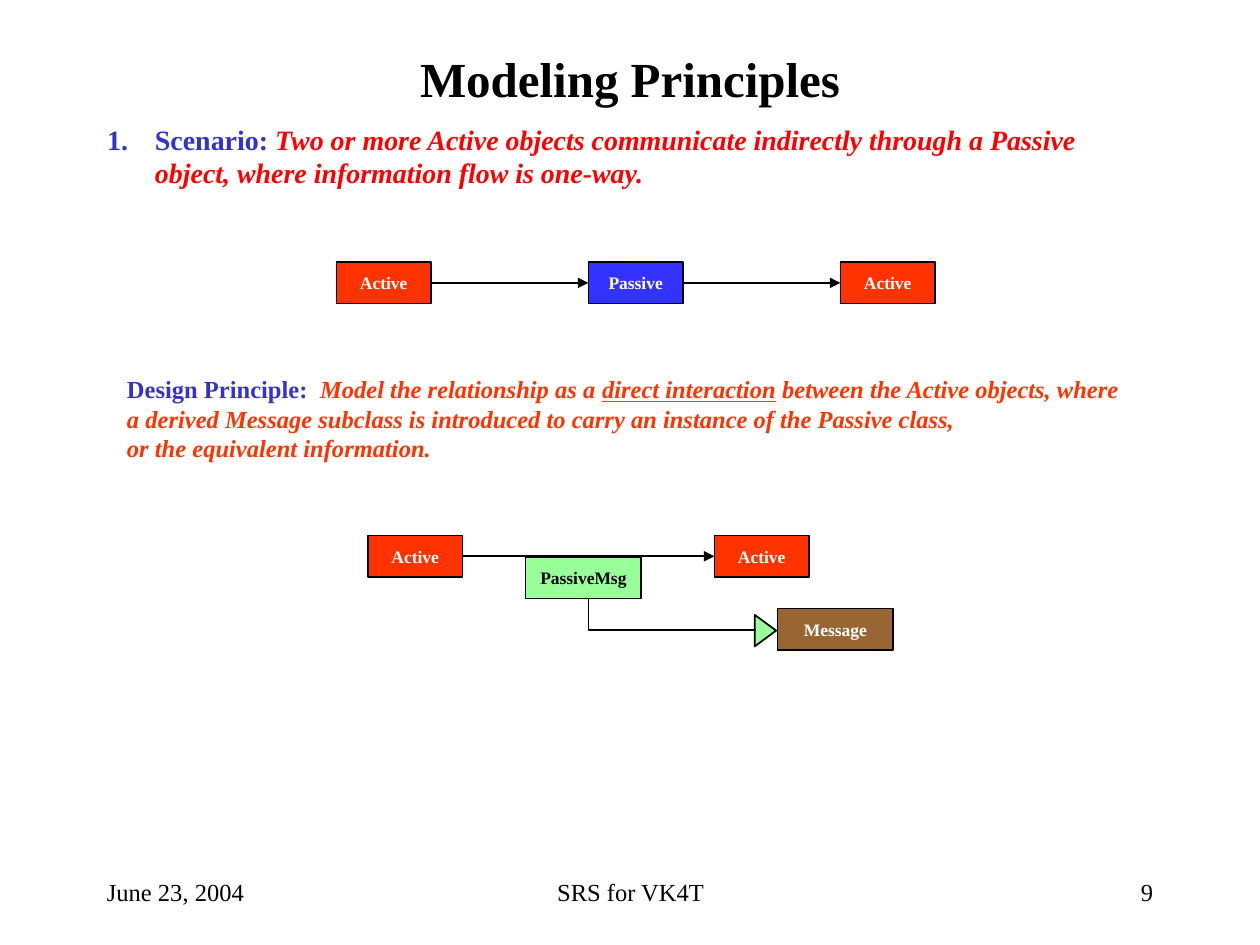
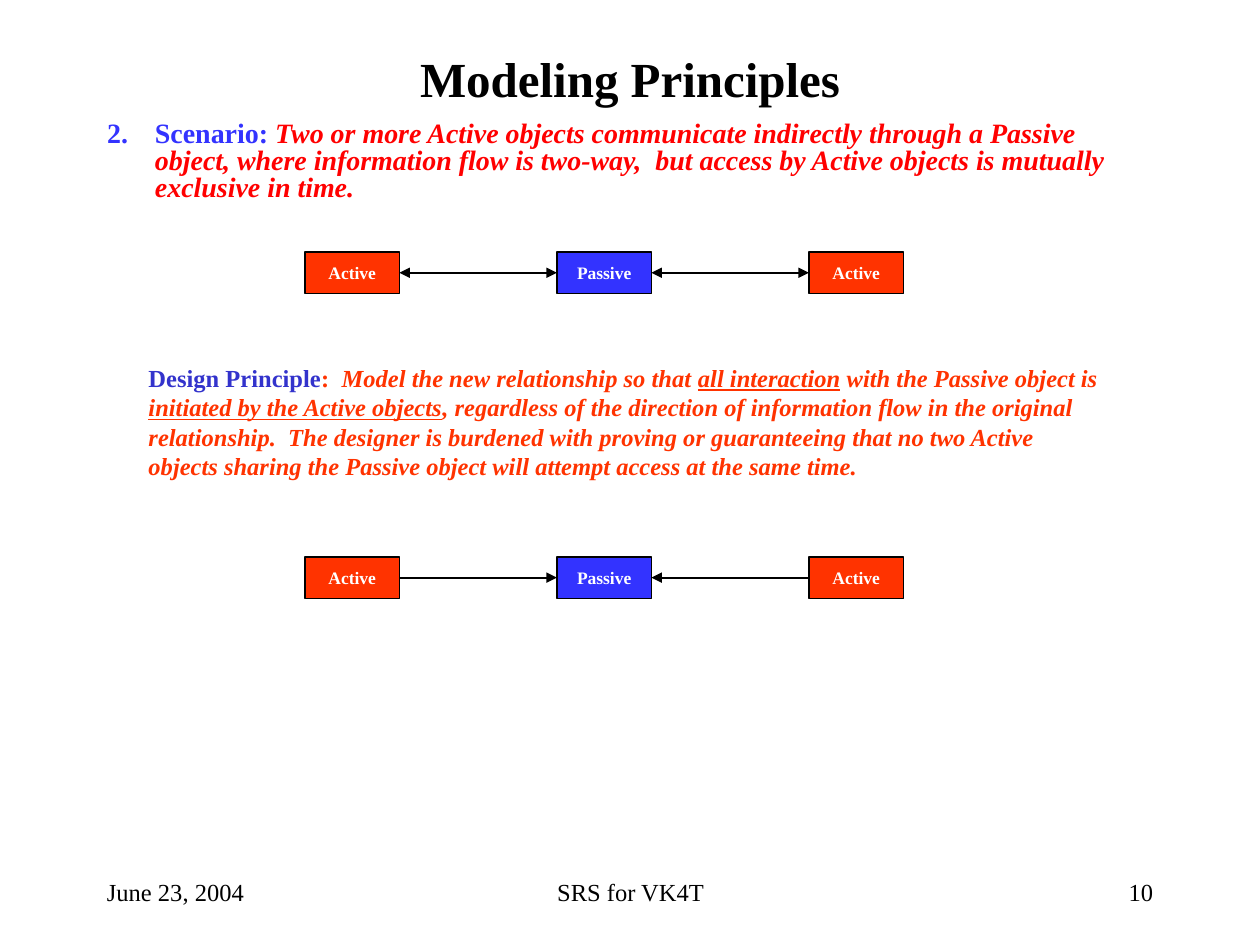
from dataclasses import dataclass
from typing import NamedTuple

from lxml import etree
from pptx import Presentation
from pptx.dml.color import RGBColor
from pptx.enum.shapes import MSO_CONNECTOR, MSO_SHAPE
from pptx.enum.text import MSO_ANCHOR, MSO_AUTO_SIZE, PP_ALIGN
from pptx.oxml.ns import qn
from pptx.shapes.autoshape import Shape
from pptx.slide import Slide
from pptx.text.text import TextFrame, _Paragraph
from pptx.util import Inches, Pt

LEFT, CENTER, RIGHT = PP_ALIGN.LEFT, PP_ALIGN.CENTER, PP_ALIGN.RIGHT
TOP, MIDDLE = MSO_ANCHOR.TOP, MSO_ANCHOR.MIDDLE
RECTANGLE, TRIANGLE = MSO_SHAPE.RECTANGLE, MSO_SHAPE.ISOSCELES_TRIANGLE
STRAIGHT = MSO_CONNECTOR.STRAIGHT
NO_FIT, FIT_SHAPE = MSO_AUTO_SIZE.NONE, MSO_AUTO_SIZE.SHAPE_TO_FIT_TEXT
LEFT_SIDE, RIGHT_SIDE = 1, 3


@dataclass(frozen=True)
class Theme:
    font: str = "Times New Roman"
    title_size: int = 28
    scenario_size: int = 16
    principle_size: int = 14
    footer_size: int = 14
    label_size: int = 10
    line_width: int = 1
    black: str = "000000"
    white: str = "FFFFFF"
    heading: str = "3333CC"
    scenario: str = "FF0000"
    active: str = "FF3300"
    passive: str = "3333FF"
    derived: str = "99FF99"
    message: str = "996633"


THEME = Theme()


class Area(NamedTuple):
    left: float
    top: float
    width: float
    height: float


class Piece(NamedTuple):
    """A stretch of text in one style."""
    text: str
    color: str
    bold: bool = True
    italic: bool = False
    underline: bool = False


class Box(NamedTuple):
    label: str
    fill: str
    text_color: str = THEME.white
    width: float = 0.75


class Arrow(NamedTuple):
    at_start: bool = False
    at_end: bool = True


class Chain(NamedTuple):
    """Active - Passive - Active, joined by two arrows."""
    left: float
    top: float
    arrows: tuple[Arrow, Arrow]


class Footer(NamedTuple):
    text: str
    left: float
    width: float
    alignment: PP_ALIGN


@dataclass(frozen=True)
class PrincipleSlide:
    scenario_number: int
    page: int
    heading_color: str
    scenario: str
    line_spacing: float
    principle_area: Area
    principle: tuple[Piece, ...]
    chains: tuple[Chain, ...]


BOX_HEIGHT = 0.33
CHAIN_PITCH = 2.0
ACTIVE = Box("Active", THEME.active)
PASSIVE = Box("Passive", THEME.passive)
PASSIVE_MESSAGE = Box("PassiveMsg", THEME.derived, THEME.black, 0.92)
MESSAGE = Box("Message", THEME.message, width=0.92)
FORWARD, BACKWARD, BOTH = Arrow(), Arrow(True, False), Arrow(True, True)
TITLE_AREA = Area(0.75, 0.33, 8.5, 0.58)
SCENARIO_AREA = Area(0.75, 0.92, 8.5, 0.75)


def principle_piece(text: str, underline: bool = False) -> Piece:
    return Piece(text, THEME.active, italic=True, underline=underline)


ONE_WAY = PrincipleSlide(
    scenario_number=1,
    page=9,
    heading_color=THEME.heading,
    scenario="Two or more Active objects communicate indirectly through a Passive object, "
             "where information flow is one-way.",
    line_spacing=1.0,
    principle_area=Area(0.91, 2.92, 8.13, 0.8),
    principle=(
        Piece("Design Principle:  ", THEME.heading),
        principle_piece("Model the relationship as a "),
        principle_piece("direct interaction", underline=True),
        principle_piece(" between the Active objects, where\n"
                        "a derived Message subclass is introduced to carry an instance "
                        "of the Passive class,\nor the equivalent information."),
    ),
    chains=(Chain(2.67, 2.08, (FORWARD, FORWARD)),),
)
TWO_WAY = PrincipleSlide(
    scenario_number=2,
    page=10,
    heading_color=THEME.passive,
    scenario="Two or more Active objects communicate indirectly through a Passive object, "
             "where information flow is two-way,  but access by Active objects is "
             "mutually exclusive in time.",
    line_spacing=0.8,
    principle_area=Area(1.08, 2.83, 7.78, 1.04),
    principle=(
        Piece("Design Principle", THEME.heading),
        Piece(":  ", THEME.active),
        principle_piece("Model the new relationship so that "),
        principle_piece("all interaction", underline=True),
        principle_piece(" with the Passive object is\n"),
        principle_piece("initiated by the Active objects", underline=True),
        principle_piece(", regardless of the direction of information flow in the original\n"
                        "relationship.  The designer is burdened with proving or "
                        "guaranteeing that no two Active\nobjects sharing the Passive "
                        "object will attempt access at the same time."),
    ),
    chains=(Chain(2.42, 2.0, (BOTH, BOTH)), Chain(2.42, 4.42, (FORWARD, BACKWARD))),
)


def place(shape: Shape, area: Area) -> None:
    shape.left, shape.top, shape.width, shape.height = map(Inches, area)


def write(frame: TextFrame, pieces: tuple[Piece, ...], size: int,
          alignment: PP_ALIGN = LEFT, anchor: MSO_ANCHOR = TOP, wrap: bool = True) -> _Paragraph:
    """Fill the first paragraph; a newline within a piece is a line break."""
    frame.word_wrap = wrap
    frame.auto_size = NO_FIT
    frame.vertical_anchor = anchor
    paragraph = frame.paragraphs[0]
    paragraph.alignment = alignment
    paragraph.space_before = Pt(0)
    for piece in pieces:
        for index, line in enumerate(piece.text.split("\n")):
            if index:
                paragraph.add_line_break()
                etree.SubElement(paragraph._p[-1], qn("a:rPr"), sz=str(size * 100))
            if not line:
                continue
            run = paragraph.add_run()
            run.text = line
            run.font.name = THEME.font
            run.font.size = Pt(size)
            run.font.bold = piece.bold
            run.font.italic = piece.italic
            run.font.underline = piece.underline
            run.font.color.rgb = RGBColor.from_string(piece.color)
    return paragraph


def number_paragraph(paragraph: _Paragraph, number: int, color: str) -> None:
    properties = paragraph._p.get_or_add_pPr()
    properties.set("marL", str(Inches(0.38)))
    properties.set("indent", str(Inches(-0.38)))
    bullet_color = etree.SubElement(properties, qn("a:buClr"))
    etree.SubElement(bullet_color, qn("a:srgbClr"), val=color)
    etree.SubElement(properties, qn("a:buFont"), typeface=THEME.font)
    etree.SubElement(properties, qn("a:buAutoNum"), type="arabicPeriod", startAt=str(number))


def add_text(slide: Slide, area: Area) -> Shape:
    return slide.shapes.add_textbox(*map(Inches, area))


def outline(shape: Shape) -> None:
    shape.shadow.inherit = False
    shape.line.color.rgb = RGBColor.from_string(THEME.black)
    shape.line.width = Pt(THEME.line_width)


def add_filled(slide: Slide, kind: MSO_SHAPE, area: Area, color: str) -> Shape:
    shape = slide.shapes.add_shape(kind, *map(Inches, area))
    outline(shape)
    shape.fill.solid()
    shape.fill.fore_color.rgb = RGBColor.from_string(color)
    return shape


def add_box(slide: Slide, box: Box, left: float, top: float) -> Shape:
    shape = add_filled(slide, RECTANGLE, Area(left, top, box.width, BOX_HEIGHT), box.fill)
    write(shape.text_frame, (Piece(box.label, box.text_color),), THEME.label_size,
          CENTER, MIDDLE, wrap=False)
    return shape


def join(slide: Slide, first: Shape, second: Shape, arrow: Arrow) -> None:
    """Draw an arrow from the right side of one box to the left side of the next."""
    connector = slide.shapes.add_connector(STRAIGHT, 0, 0, 0, 0)
    connector.begin_connect(first, RIGHT_SIDE)
    connector.end_connect(second, LEFT_SIDE)
    connector.line.color.rgb = RGBColor.from_string(THEME.black)
    connector.line.width = Pt(THEME.line_width)
    line = connector.line._get_or_add_ln()
    for tag, shown in (("a:headEnd", arrow.at_start), ("a:tailEnd", arrow.at_end)):
        if shown:
            etree.SubElement(line, qn(tag), type="triangle")
    etree.SubElement(connector._element.spPr, qn("a:effectLst"))


def add_chain(slide: Slide, chain: Chain) -> None:
    shapes = [add_box(slide, box, chain.left + index * CHAIN_PITCH, chain.top)
              for index, box in enumerate((ACTIVE, PASSIVE, ACTIVE))]
    for first, second, arrow in zip(shapes, shapes[1:], chain.arrows):
        join(slide, first, second, arrow)


def add_message_diagram(slide: Slide) -> None:
    """Two Active objects exchanging a PassiveMsg, which is derived from Message."""
    sender = add_box(slide, ACTIVE, 2.92, 4.25)
    add_box(slide, PASSIVE_MESSAGE, 4.17, 4.42)
    receiver = add_box(slide, ACTIVE, 5.67, 4.25)
    join(slide, sender, receiver, FORWARD)
    add_box(slide, MESSAGE, 6.17, 4.83)
    add_filled(slide, TRIANGLE, Area(5.95, 4.92, 0.25, 0.17), THEME.derived).rotation = 90
    builder = slide.shapes.build_freeform(Inches(4.67), Inches(4.75))
    builder.add_line_segments([(Inches(4.67), Inches(5)), (Inches(6), Inches(5))], close=False)
    inheritance = builder.convert_to_shape()
    inheritance.fill.background()
    outline(inheritance)


def add_footers(slide: Slide, page: int) -> None:
    for footer in (Footer("SRS for VK4T", 3.42, 3.17, CENTER),
                   Footer(str(page), 7.17, 2.08, RIGHT),
                   Footer("June 23, 2004", 0.75, 2.08, LEFT)):
        shape = add_text(slide, Area(footer.left, 6.83, footer.width, 0.5))
        write(shape.text_frame, (Piece(footer.text, THEME.black, bold=False),),
              THEME.footer_size, footer.alignment, MIDDLE)


def add_principle_slide(presentation: Presentation, content: PrincipleSlide) -> Slide:
    slide = presentation.slides.add_slide(presentation.slide_layouts[1])
    title, body = slide.shapes.title, slide.placeholders[1]
    place(title, TITLE_AREA)
    write(title.text_frame, (Piece("Modeling Principles", THEME.black),),
          THEME.title_size, CENTER, MIDDLE)

    place(body, SCENARIO_AREA)
    scenario = (Piece("Scenario: ", content.heading_color),
                Piece(content.scenario, THEME.scenario, italic=True))
    paragraph = write(body.text_frame, scenario, THEME.scenario_size)
    paragraph.line_spacing = content.line_spacing
    number_paragraph(paragraph, content.scenario_number, content.heading_color)

    principle = add_text(slide, content.principle_area)
    write(principle.text_frame, content.principle, THEME.principle_size, wrap=False)
    principle.text_frame.auto_size = FIT_SHAPE
    for chain in content.chains:
        add_chain(slide, chain)
    add_footers(slide, content.page)
    return slide


def main() -> None:
    presentation = Presentation()
    presentation.slide_width, presentation.slide_height = Inches(10), Inches(7.5)
    add_message_diagram(add_principle_slide(presentation, ONE_WAY))
    add_principle_slide(presentation, TWO_WAY)
    presentation.save("out.pptx")


if __name__ == "__main__":
    main()
